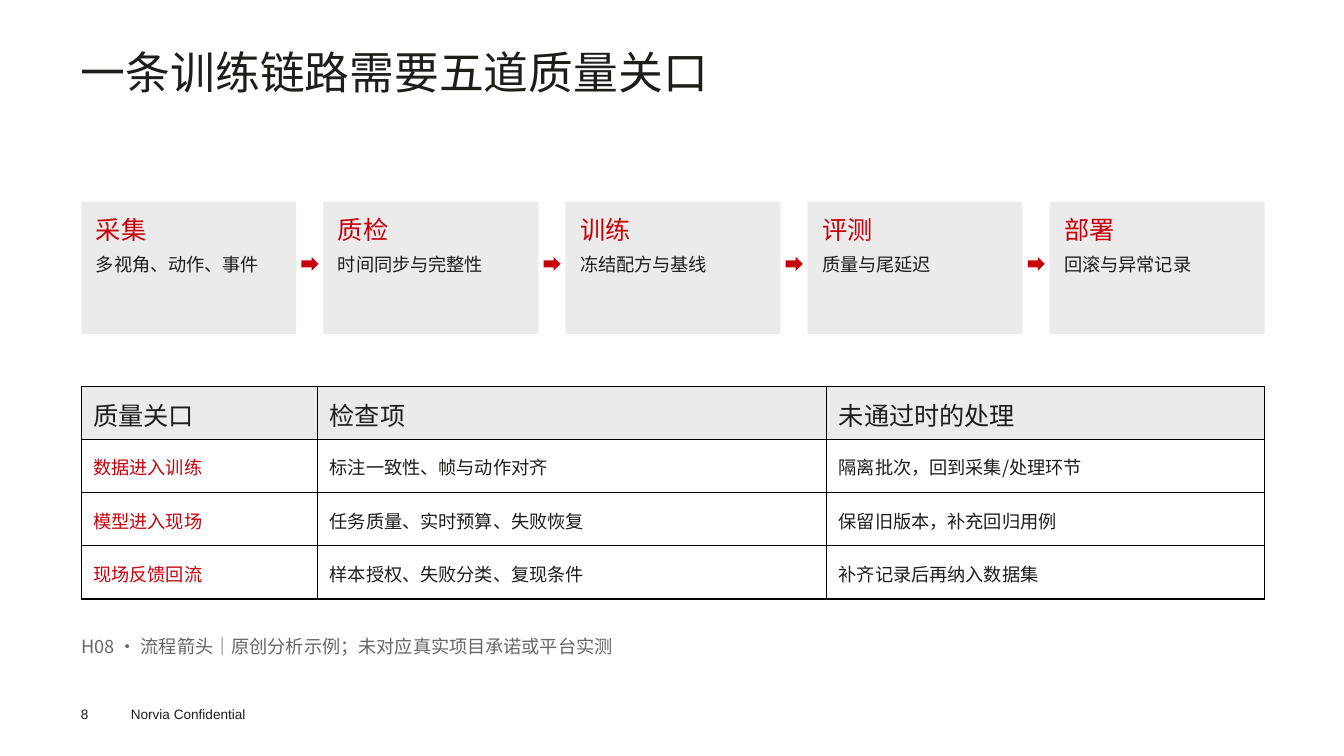
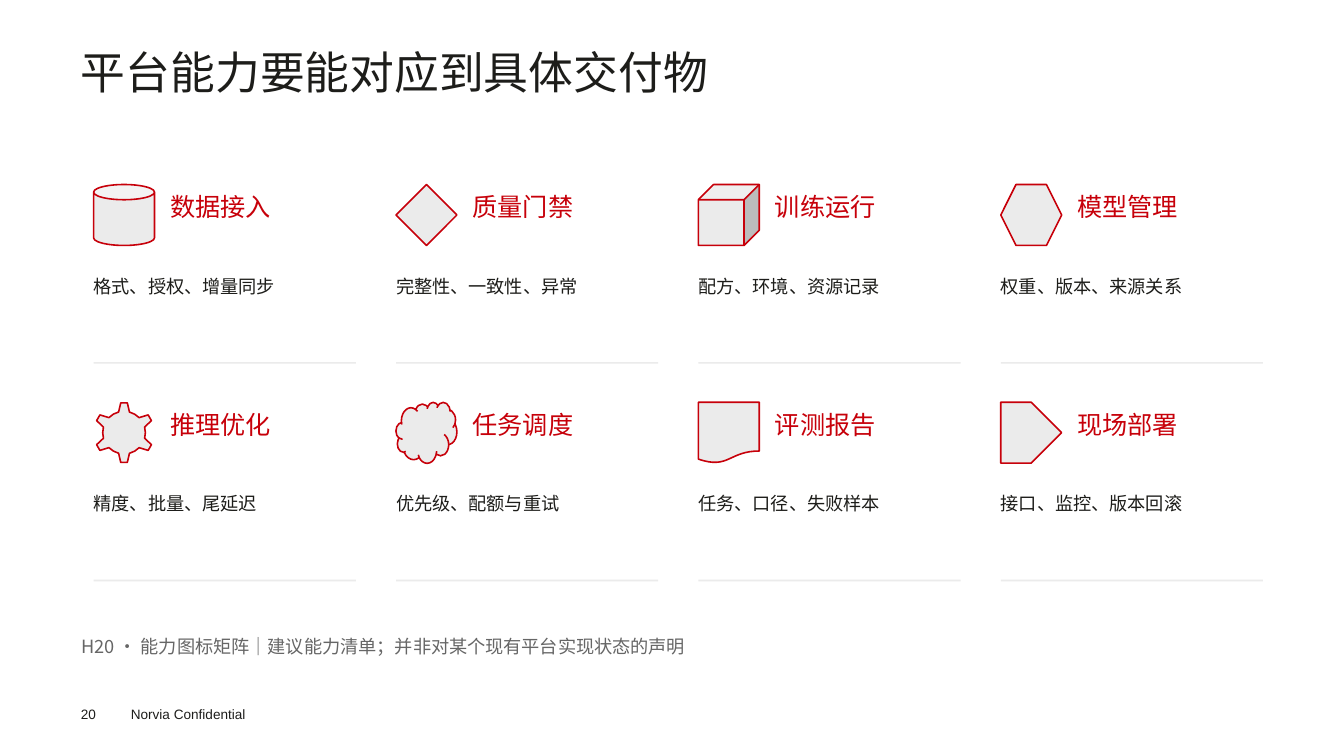
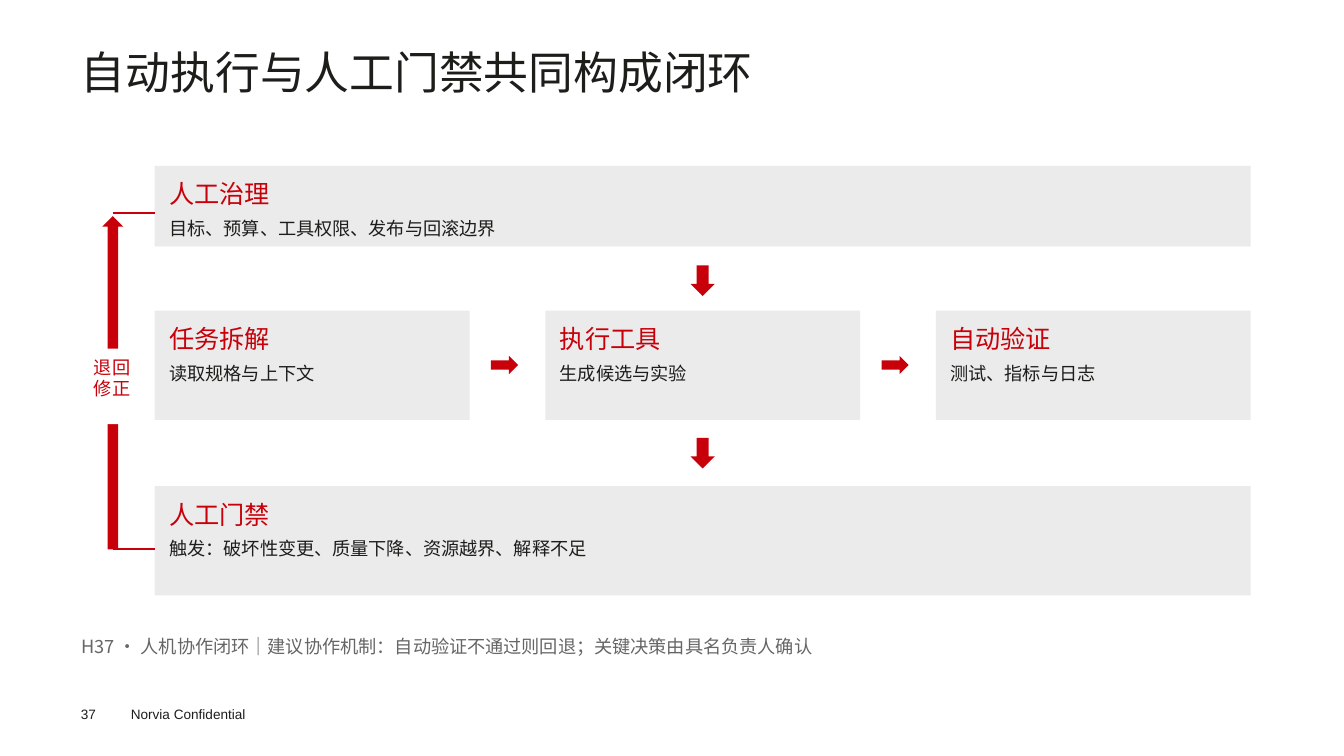
from dataclasses import dataclass

import pptx
import pptx.dml.color
import pptx.enum.shapes
import pptx.enum.text
import pptx.oxml.ns
import pptx.shapes.autoshape
import pptx.slide
import pptx.text.text
import pptx.util
from lxml import etree

Pt = pptx.util.Pt
RGBColor = pptx.dml.color.RGBColor
Shape = pptx.enum.shapes.MSO_SHAPE
Align = pptx.enum.text.PP_ALIGN
qn = pptx.oxml.ns.qn

# Shared style
RED = RGBColor(0xC7, 0x00, 0x0A)
INK = RGBColor(0x1D, 0x1D, 0x1A)
FOOTER_INK = RGBColor(0x1D, 0x1D, 0x1B)
GREY = RGBColor(0x66, 0x66, 0x66)
PANEL = RGBColor(0xEB, 0xEB, 0xEB)
WHITE = RGBColor(0xFF, 0xFF, 0xFF)
CJK = "Noto Sans CJK SC"
LATIN = "Arial"
TITLE_SIZE, HEADING_SIZE, BODY_SIZE, FOOTER_SIZE = 32, 18, 13, 9.7
LEFT, CONTENT_WIDTH = 58.1, 845.4


@dataclass(frozen=True)
class Box:
    x: float
    y: float
    w: float
    h: float

    def lengths(self) -> tuple[int, int, int, int]:
        return Pt(self.x), Pt(self.y), Pt(self.w), Pt(self.h)


@dataclass(frozen=True)
class Topic:
    heading: str
    body: str


@dataclass(frozen=True)
class Capability:
    icon: Shape
    topic: Topic


def style_text(frame: pptx.text.text.TextFrame, size: float, color: RGBColor,
               font: str = CJK) -> None:
    for paragraph in frame.paragraphs:
        for run in paragraph.runs:
            run.font.size = Pt(size)
            run.font.color.rgb = color
            run.font.name = font
            east_asian = etree.SubElement(run.font._element, qn("a:ea"))
            east_asian.set("typeface", font)


def add_text(slide: pptx.slide.Slide, box: Box, text: str, size: float, color: RGBColor,
             font: str = CJK, inset: tuple[float, float] = (0, 0)) -> pptx.text.text.TextFrame:
    frame = slide.shapes.add_textbox(*box.lengths()).text_frame
    frame.word_wrap = True
    frame.margin_left = frame.margin_right = Pt(inset[0])
    frame.margin_top = frame.margin_bottom = Pt(inset[1])
    frame.text = text
    style_text(frame, size, color, font)
    return frame


def add_block(slide: pptx.slide.Slide, kind: Shape, box: Box, fill: RGBColor,
              outline: RGBColor | None = None) -> pptx.shapes.autoshape.Shape:
    block = slide.shapes.add_shape(kind, *box.lengths())
    block.shadow.inherit = False
    block.fill.solid()
    block.fill.fore_color.rgb = fill
    if outline is None:
        block.line.fill.background()
    else:
        block.line.color.rgb = outline
        block.line.width = Pt(1.13)
    return block


def add_card(slide: pptx.slide.Slide, box: Box, topic: Topic) -> None:
    pad, body_top = 10.4, 36.8
    inner_width = box.w - 2 * pad
    add_block(slide, Shape.RECTANGLE, box, PANEL)
    add_text(slide, Box(box.x + pad, box.y + 9, inner_width, 24),
             topic.heading, HEADING_SIZE, RED)
    add_text(slide, Box(box.x + pad, box.y + body_top, inner_width, box.h - body_top - 4.3),
             topic.body, BODY_SIZE, INK)


def add_page(deck: pptx.presentation.Presentation, number: int, title: str,
             note: str) -> pptx.slide.Slide:
    slide = deck.slides.add_slide(deck.slide_layouts[6])
    slide.background.fill.solid()
    slide.background.fill.fore_color.rgb = WHITE
    # Footer
    add_text(slide, Box(86.4, 500.4, 115.2, 19.4), "Norvia Confidential",
             FOOTER_SIZE, FOOTER_INK, LATIN, inset=(7.2, 3.6))
    add_text(slide, Box(57.8, 504.2, 39.6, 11.5), str(number), FOOTER_SIZE, FOOTER_INK, LATIN)
    # Title and source note
    heading = add_text(slide, Box(57.8, 36, 846, 78.5), title, TITLE_SIZE, INK)
    heading.paragraphs[0].line_spacing = Pt(34.3)
    add_text(slide, Box(LEFT, 453.6, CONTENT_WIDTH, 32.4), f"H{number:02} · {note}",
             BODY_SIZE, GREY)
    return slide


# Slide: quality gates
STAGES = (
    Topic("采集", "多视角、动作、事件"),
    Topic("质检", "时间同步与完整性"),
    Topic("训练", "冻结配方与基线"),
    Topic("评测", "质量与尾延迟"),
    Topic("部署", "回滚与异常记录"),
)
GATE_COLUMNS = (169, 363.8, 312.6)
GATE_ROWS = (
    ("质量关口", "检查项", "未通过时的处理"),
    ("数据进入训练", "标注一致性、帧与动作对齐", "隔离批次，回到采集/处理环节"),
    ("模型进入现场", "任务质量、实时预算、失败恢复", "保留旧版本，补充回归用例"),
    ("现场反馈回流", "样本授权、失败分类、复现条件", "补齐记录后再纳入数据集"),
)


def add_cell_borders(cell_properties: etree._Element) -> None:
    for position, side in enumerate(("lnL", "lnR", "lnT", "lnB")):
        border = etree.Element(qn(f"a:{side}"), w=str(Pt(1)))
        fill = etree.SubElement(border, qn("a:solidFill"))
        etree.SubElement(fill, qn("a:srgbClr"), val="000000")
        cell_properties.insert(position, border)


def add_gate_table(slide: pptx.slide.Slide) -> None:
    row_height = 38
    box = Box(LEFT, 275.9, sum(GATE_COLUMNS), row_height * len(GATE_ROWS))
    gates = slide.shapes.add_table(len(GATE_ROWS), len(GATE_COLUMNS), *box.lengths()).table
    gates.horz_banding = False
    gates.first_row = False
    for column, width in zip(gates.columns, GATE_COLUMNS):
        column.width = Pt(width)
    for row_index, texts in enumerate(GATE_ROWS):
        is_header = row_index == 0
        gates.rows[row_index].height = Pt(row_height)
        for column_index, text in enumerate(texts):
            cell = gates.cell(row_index, column_index)
            cell.margin_left = cell.margin_right = Pt(8.6)
            cell.margin_top, cell.margin_bottom = Pt(7.2), Pt(5.8)
            cell.vertical_anchor = pptx.enum.text.MSO_ANCHOR.MIDDLE
            cell.fill.solid()
            cell.fill.fore_color.rgb = PANEL if is_header else WHITE
            cell.text_frame.text = text
            color = RED if column_index == 0 and not is_header else INK
            style_text(cell.text_frame, HEADING_SIZE if is_header else BODY_SIZE, color)
            add_cell_borders(cell._tc.get_or_add_tcPr())


def build_quality_gates(deck: pptx.presentation.Presentation) -> None:
    slide = add_page(deck, 8, "一条训练链路需要五道质量关口",
                     "流程箭头｜原创分析示例；未对应真实项目承诺或平台实测")
    width, pitch = 153.6, 173
    for index, stage in enumerate(STAGES):
        card = Box(LEFT + index * pitch, 144, width, 94.5)
        add_card(slide, card, stage)
        if index < len(STAGES) - 1:
            add_block(slide, Shape.RIGHT_ARROW,
                      Box(card.x + width + 3.8, 183.5, 12.2, 10), RED)
    add_gate_table(slide)


# Slide: capability matrix
CAPABILITIES = (
    Capability(Shape.CAN, Topic("数据接入", "格式、授权、增量同步")),
    Capability(Shape.FLOWCHART_DECISION, Topic("质量门禁", "完整性、一致性、异常")),
    Capability(Shape.CUBE, Topic("训练运行", "配方、环境、资源记录")),
    Capability(Shape.HEXAGON, Topic("模型管理", "权重、版本、来源关系")),
    Capability(Shape.GEAR_6, Topic("推理优化", "精度、批量、尾延迟")),
    Capability(Shape.CLOUD, Topic("任务调度", "优先级、配额与重试")),
    Capability(Shape.FLOWCHART_DOCUMENT, Topic("评测报告", "任务、口径、失败样本")),
    Capability(Shape.PENTAGON, Topic("现场部署", "接口、监控、版本回滚")),
)


def build_capabilities(deck: pptx.presentation.Presentation) -> None:
    slide = add_page(deck, 20, "平台能力要能对应到具体交付物",
                     "能力图标矩阵｜建议能力清单；并非对某个现有平台实现状态的声明")
    for index, capability in enumerate(CAPABILITIES):
        row, column = divmod(index, 4)
        x, y = 66.9 + column * 216.1, 131.8 + row * 155.5
        add_block(slide, capability.icon, Box(x, y, 43.5, 43.5), PANEL, RED)
        add_text(slide, Box(x + 54.7, y + 5, 130.3, 27.4),
                 capability.topic.heading, HEADING_SIZE, RED)
        add_text(slide, Box(x, y + 64.5, 185.8, 56.9), capability.topic.body, BODY_SIZE, INK)
        add_block(slide, Shape.RECTANGLE, Box(x, y + 126.8, 187.4, 1.2), PANEL)


# Slide: human and machine loop
GOVERNANCE = Topic("人工治理", "目标、预算、工具权限、发布与回滚边界")
AUTOMATION = (
    Topic("任务拆解", "读取规格与上下文"),
    Topic("执行工具", "生成候选与实验"),
    Topic("自动验证", "测试、指标与日志"),
)
HUMAN_GATE = Topic("人工门禁", "触发：破坏性变更、质量下降、资源越界、解释不足")


def add_return_line(slide: pptx.slide.Slide, start_x: float, end_x: float, y: float) -> None:
    line = slide.shapes.add_connector(pptx.enum.shapes.MSO_CONNECTOR.STRAIGHT,
                                      Pt(start_x), Pt(y), Pt(end_x), Pt(y))
    line.line.color.rgb = RED
    line.line.width = Pt(1.5)
    etree.SubElement(line._element.spPr, qn("a:effectLst"))


def build_loop(deck: pptx.presentation.Presentation) -> None:
    slide = add_page(deck, 37, "自动执行与人工门禁共同构成闭环",
                     "人机协作闭环｜建议协作机制：自动验证不通过则回退；关键决策由具名负责人确认")
    left, width, pitch = 110.6, 225, 279.1
    full_width = 2 * pitch + width
    center = left + full_width / 2

    # Three levels
    add_card(slide, Box(left, 118.5, full_width, 57.6), GOVERNANCE)
    for index, step in enumerate(AUTOMATION):
        card = Box(left + index * pitch, 221.9, width, 78)
        add_card(slide, card, step)
        if index < len(AUTOMATION) - 1:
            add_block(slide, Shape.RIGHT_ARROW,
                      Box(card.x + width + 15.3, 254.2, 19.4, 13), RED)
    for arrow_top in (189.6, 312.8):
        add_block(slide, Shape.DOWN_ARROW, Box(center - 8.65, arrow_top, 17.3, 21.8), RED)
    add_card(slide, Box(left, 347.3, full_width, 78), HUMAN_GATE)

    # Return path
    return_x, top, bottom = 80.6, 152.2, 392.2
    add_return_line(slide, return_x, left, bottom)
    add_block(slide, Shape.UP_ARROW,
              Box(return_x - 7.5, top + 2.2, 15, bottom - top - 2), RED)
    add_return_line(slide, return_x, left, top)
    add_block(slide, Shape.RECTANGLE, Box(LEFT, 249, 44, 54), WHITE)
    label = add_text(slide, Box(LEFT, 254.2, 44, 48), "退回\n修正", BODY_SIZE, RED)
    for paragraph in label.paragraphs:
        paragraph.alignment = Align.CENTER


def main() -> None:
    deck = pptx.Presentation()
    deck.slide_width, deck.slide_height = Pt(960.48), Pt(540)
    build_quality_gates(deck)
    build_capabilities(deck)
    build_loop(deck)
    deck.save("out.pptx")


if __name__ == "__main__":
    main()
